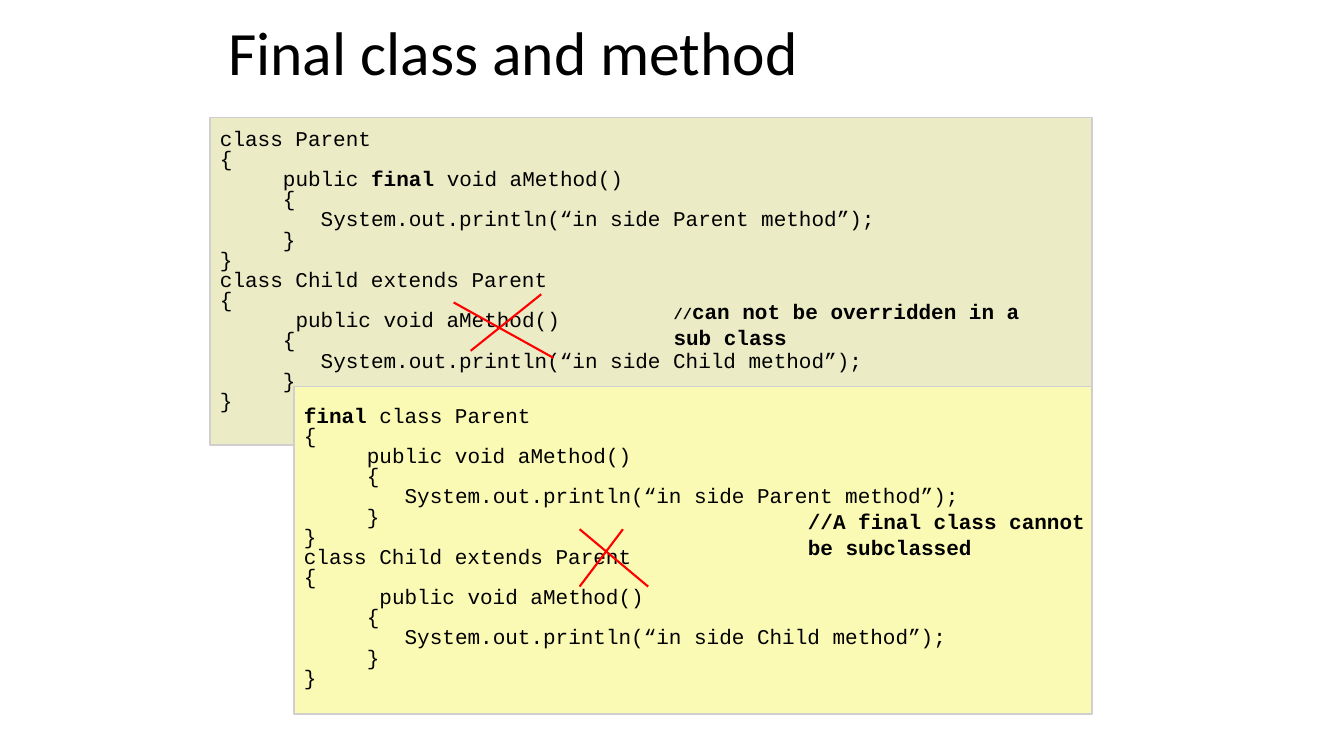
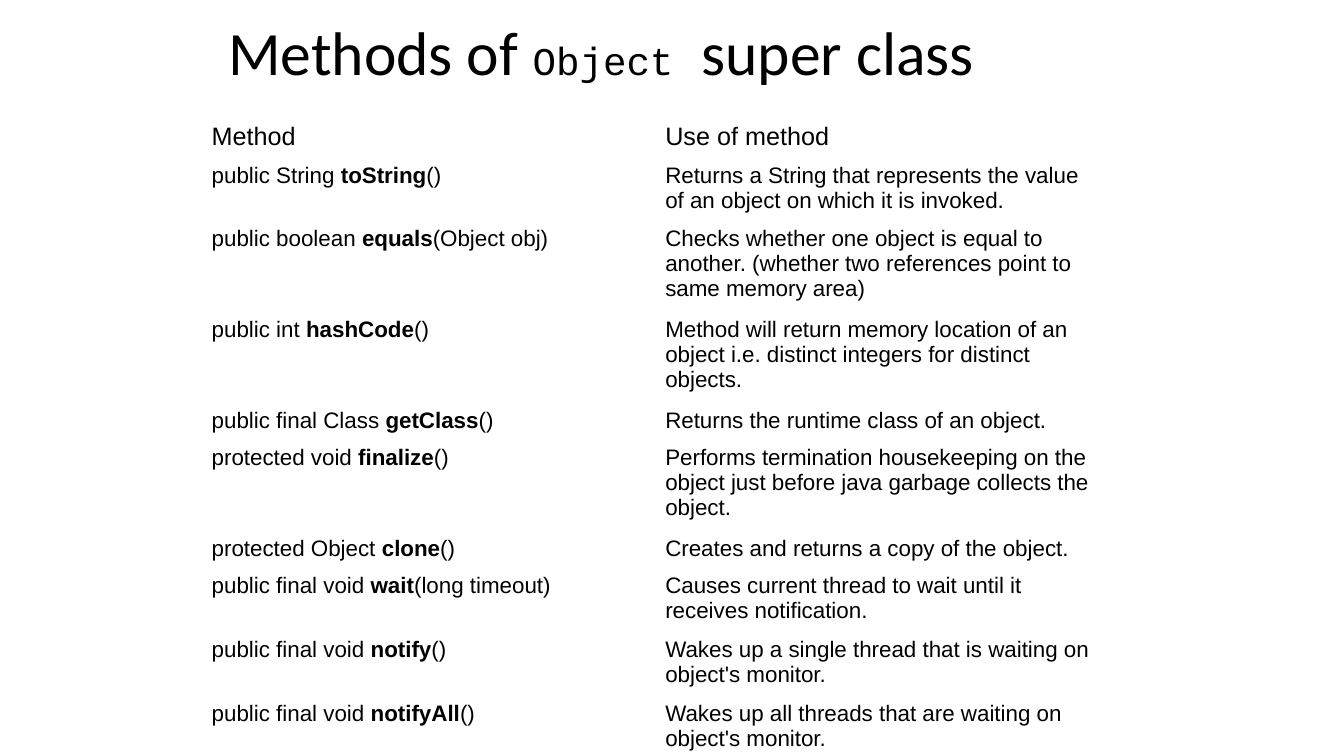
from pptx import Presentation
from pptx.dml.color import RGBColor
from pptx.enum.shapes import MSO_CONNECTOR, MSO_SHAPE
from pptx.enum.text import MSO_ANCHOR, PP_ALIGN
from pptx.oxml.ns import qn
from pptx.util import Pt
from lxml.etree import SubElement

COLOURS = {
    "text": "000000",
    "method_panel": "EBECC6",
    "class_panel": "FAFAB4",
    "panel_line": "D0CECE",
    "cross": "FF0000",
}
TITLE_FONT = "Calibri"
CODE_FONT = "Courier New"
TABLE_FONT = "Arial"
CODE_SIZE = 15
CHARACTER_WIDTH = 9
BOLD_MARK = "**"

METHOD_CODE = [
    (0, "class Parent"),
    (0, "{"),
    (5, "public **final** void aMethod()"),
    (5, "{"),
    (8, "System.out.println(“in side Parent method”);"),
    (5, "}"),
    (0, "}"),
    (0, "class Child extends Parent"),
    (0, "{"),
    (6, "public void aMethod()"),
    (5, "{"),
    (8, "System.out.println(“in side Child method”);"),
    (5, "}"),
    (0, "}"),
]
CLASS_CODE = [
    (0, "**final** class Parent"),
    (0, "{"),
    (5, "public void aMethod()"),
    *METHOD_CODE[3:],
]

ONE_LINE, TWO_LINES, THREE_LINES = 26.6, 45.4, 64.8
METHODS = [
    (TWO_LINES, "public String **toString**()",
     "Returns a String that represents the value of an object on which it is invoked."),
    (THREE_LINES, "public boolean **equals**(Object\u00a0obj)",
     "Checks whether one object is equal to another. "
     "(whether two references point to same memory area)"),
    (THREE_LINES, "public int **hashCode**()",
     "Method will return memory location of an object "
     "i.e. distinct integers for distinct objects."),
    (ONE_LINE, "public final Class **getClass**()",
     "Returns the runtime class of an object."),
    (THREE_LINES, "protected void **finalize**()",
     "Performs termination housekeeping on the object "
     "just before java garbage collects the object."),
    (ONE_LINE, "protected Object **clone**()",
     "Creates and returns a copy of the object."),
    (TWO_LINES, "public final void **wait**(long\u00a0timeout)",
     "Causes current thread to wait until it receives notification."),
    (TWO_LINES, "public final void **notify**()",
     "Wakes up a single thread that is waiting on object's monitor."),
    (TWO_LINES, "public final void **notifyAll**()",
     "Wakes up all threads that are waiting on object's monitor."),
]


def colour(name):
    return RGBColor.from_string(COLOURS[name])


def add_run(paragraph, text, size, font, bold=False):
    run = paragraph.add_run()
    run.text = text
    run.font.size = Pt(size)
    run.font.name = font
    run.font.bold = bold
    run.font.color.rgb = colour("text")


def add_marked_text(paragraph, text, size, font):
    for index, part in enumerate(text.split(BOLD_MARK)):
        if part:
            add_run(paragraph, part, size, font, bold=index % 2 == 1)


def add_text_box(slide, left, top, width, height):
    text_frame = slide.shapes.add_textbox(Pt(left), Pt(top), Pt(width), Pt(height)).text_frame
    text_frame.word_wrap = True
    return text_frame


def add_title(slide, runs):
    text_frame = add_text_box(slide, 156, 12, 648, 56)
    text_frame.vertical_anchor = MSO_ANCHOR.MIDDLE
    paragraph = text_frame.paragraphs[0]
    paragraph.line_spacing = 0.9
    for text, size, font in runs:
        add_run(paragraph, text, size, font)


def add_code_panel(slide, left, top, width, fill, lines, bottom_margin):
    panel = slide.shapes.add_shape(
        MSO_SHAPE.ROUNDED_RECTANGLE, Pt(left), Pt(top), Pt(width), Pt(234))
    panel.adjustments[0] = 0
    panel.shadow.inherit = False
    panel.fill.solid()
    panel.fill.fore_color.rgb = colour(fill)
    panel.line.color.rgb = colour("panel_line")
    panel.line.width = Pt(1)
    text_frame = panel.text_frame
    text_frame.word_wrap = True
    text_frame.vertical_anchor = MSO_ANCHOR.MIDDLE
    text_frame.margin_bottom = Pt(bottom_margin)
    for index, (indent, text) in enumerate(lines):
        paragraph = text_frame.add_paragraph() if index else text_frame.paragraphs[0]
        paragraph.alignment = PP_ALIGN.LEFT
        paragraph.line_spacing = 0.8
        paragraph._p.get_or_add_pPr().set("marL", str(Pt(indent * CHARACTER_WIDTH)))
        add_marked_text(paragraph, text, CODE_SIZE, CODE_FONT)


def add_note(slide, left, top, width, runs):
    paragraph = add_text_box(slide, left, top, width, 44).paragraphs[0]
    for text, size in runs:
        add_run(paragraph, text, size, CODE_FONT, bold=True)


def add_cross(slide, strokes):
    for stroke in strokes:
        connector = slide.shapes.add_connector(
            MSO_CONNECTOR.STRAIGHT, *[Pt(value) for value in stroke])
        connector.line.color.rgb = colour("cross")
        connector.line.width = Pt(1.5)
        SubElement(connector._element.spPr, qn("a:effectLst"))


def add_method_table(slide):
    rows = [(28.8, "Method", "Use of method"), *METHODS]
    height = sum(row[0] for row in rows)
    table = slide.shapes.add_table(
        len(rows), 2, Pt(144), Pt(84), Pt(648), Pt(height)).table
    table.first_row = False
    table.horz_banding = False
    for row_index, (row_height, *texts) in enumerate(rows):
        table.rows[row_index].height = Pt(row_height)
        for column_index, text in enumerate(texts):
            cell = table.cell(row_index, column_index)
            cell.fill.background()
            size = 16 if row_index else 18
            add_marked_text(cell.text_frame.paragraphs[0], text, size, TABLE_FONT)


def build_final_slide(slide):
    add_title(slide, [("Final class and method", 44, TITLE_FONT)])
    add_code_panel(slide, 150, 84, 630, "method_panel", METHOD_CODE, 18)
    add_cross(slide, [(324, 216, 395.3, 255.6), (386.6, 210.2, 336.2, 250.6)])
    add_note(slide, 474, 210, 264,
             [("//", 11), ("can not be overridden in a sub class", CODE_SIZE)])
    add_code_panel(slide, 210, 276, 570, "class_panel", CLASS_CODE, 6.4)
    add_note(slide, 570, 360, 216, [("//A final class cannot be subclassed", CODE_SIZE)])
    add_cross(slide, [(414, 378, 463, 419), (445, 378, 414, 419)])


def build_object_slide(slide):
    add_title(slide, [
        ("Methods of ", 44, TITLE_FONT),
        ("Object", 28, CODE_FONT),
        ("  super class", 44, TITLE_FONT),
    ])
    add_method_table(slide)


def main():
    presentation = Presentation()
    presentation.slide_width = Pt(960)
    presentation.slide_height = Pt(540)
    blank_layout = presentation.slide_layouts[6]
    for build_slide in (build_final_slide, build_object_slide):
        build_slide(presentation.slides.add_slide(blank_layout))
    presentation.save("out.pptx")


main()
